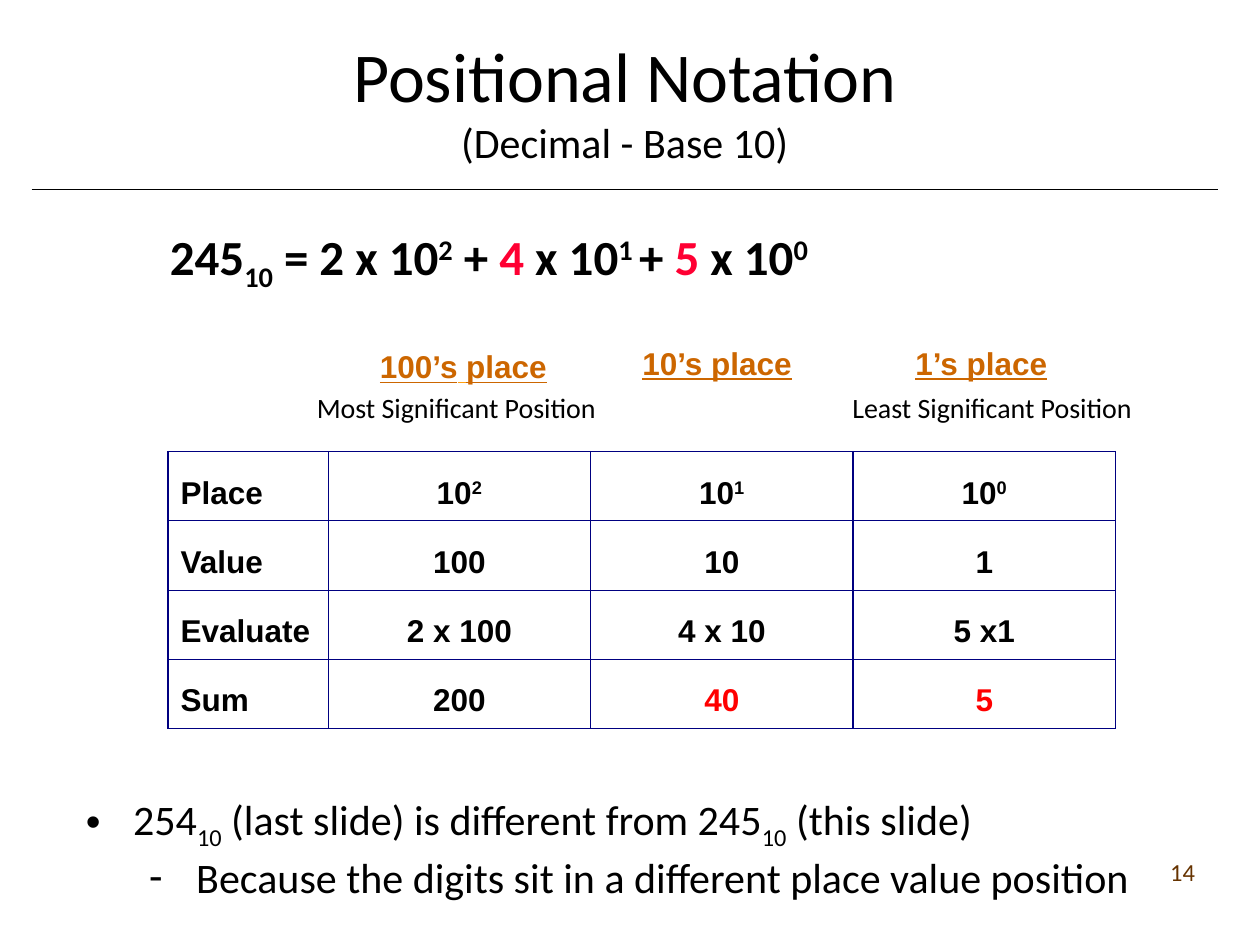
from collections import namedtuple
from dataclasses import dataclass

from lxml.etree import SubElement
from pptx import Presentation
from pptx.dml.color import RGBColor
from pptx.enum.shapes import MSO_CONNECTOR
from pptx.enum.text import MSO_ANCHOR, MSO_AUTO_SIZE, PP_ALIGN
from pptx.oxml.ns import qn
from pptx.util import Pt

Box = namedtuple("Box", "left top width height")


@dataclass(frozen=True)
class Theme:
    body: str = "Calibri"
    grid: str = "Arial"
    ink: str = "000000"
    red: str = "FF0000"
    digit: str = "FF0033"
    place: str = "CC6600"
    place_gap: str = "FF9F11"
    border: str = "000080"
    number: str = "663300"
    title_size: int = 40
    equation_size: int = 28
    text_size: int = 24
    table_size: int = 18
    note_size: int = 16
    number_size: int = 14


T = Theme()
SUP, SUB = 30, -25  # raised and lowered text, in percent


def add_run(p, text, size, font=T.body, color=T.ink, bold=False,
            underline=None, base=0):
    r = p.add_run()
    r.text = text
    r.font.size, r.font.name = Pt(size), font
    r.font.bold, r.font.underline = bold, underline
    r.font.color.rgb = RGBColor.from_string(color)
    if base:
        r.font._element.set("baseline", str(base * 1000))
    return r


def add_text_box(s, box, align=PP_ALIGN.LEFT):
    tf = s.shapes.add_textbox(*map(Pt, box)).text_frame
    tf.word_wrap = True
    p = tf.paragraphs[0]
    p.alignment = align
    return p


def add_title(s, box):
    sp = s.shapes.title
    sp.left, sp.top, sp.width, sp.height = map(Pt, box)
    tf = sp.text_frame
    tf.auto_size = MSO_AUTO_SIZE.NONE
    tf.vertical_anchor = MSO_ANCHOR.BOTTOM
    p = tf.paragraphs[0]
    p.alignment = PP_ALIGN.CENTER
    add_run(p, "Positional Notation", T.title_size)
    p.add_line_break()
    add_run(p, "(Decimal - Base 10)", T.text_size)

    # Rule below the title
    x, y = box.left - 6, box.top + 96
    rule = s.shapes.add_connector(MSO_CONNECTOR.STRAIGHT,
                                  Pt(x), Pt(y), Pt(x + 678), Pt(y))
    rule.line.color.rgb = RGBColor.from_string(T.ink)
    rule.line.width = Pt(0.5)
    SubElement(rule._element.spPr, qn("a:effectLst"))


def add_equation(s, box):
    p = add_text_box(s, box)
    parts = [("245", {}), ("10", {"base": SUB}), (" = 2 x 10", {}),
             ("2", {"base": SUP}), (" + ", {}), ("4", {"color": T.digit}),
             (" x 10", {}), ("1 ", {"base": SUP}), ("+ ", {}),
             ("5", {"color": T.digit}), (" x 10", {}), ("0", {"base": SUP})]
    for text, style in parts:
        add_run(p, text, T.equation_size, bold=True, **style)


def add_place_labels(s, box):
    # Headings above the columns: left, top, width, runs
    headings = [
        (36, 2, 120, [("100’s", T.place), (" ", T.place_gap), ("place", T.place)]),
        (186, 0, 102, [("10’s place", T.place)]),
        (342, 0, 102, [("1’s place", T.place)]),
    ]
    for dx, dy, width, runs in headings:
        p = add_text_box(s, Box(box.left + dx, box.top + dy, width, 29))
        for text, color in runs:
            add_run(p, text, T.table_size, T.grid, color, True, True)

    # Notes under the outer headings
    for dx, text in ((0, "Most Significant Position"),
                     (306, "Least Significant Position")):
        p = add_text_box(s, Box(box.left + dx, box.top + 26.6, 180, 26.6))
        add_run(p, text, T.note_size)


def set_borders(cell):
    tcPr = cell._tc.get_or_add_tcPr()
    for side in ("lnL", "lnR", "lnT", "lnB"):
        ln = SubElement(tcPr, qn("a:" + side), w=str(Pt(0.75)))
        fill = SubElement(ln, qn("a:solidFill"))
        SubElement(fill, qn("a:srgbClr"), val=T.border)


def add_place_table(s, box):
    rows = [("Place", "10^2", "10^1", "10^0"),
            ("Value", "100", "10", "1"),
            ("Evaluate", "2 x 100", "4 x 10", "5 x1"),
            ("Sum", "200", "40", "5")]
    table = s.shapes.add_table(len(rows), len(rows[0]), *map(Pt, box)).table
    table.first_row = table.horz_banding = False
    label_width = 91.5
    for j, column in enumerate(table.columns):
        column.width = Pt((box.width - label_width) / 3 if j else label_width)
    for i, values in enumerate(rows):
        table.rows[i].height = Pt(box.height / len(rows))
        for j, value in enumerate(values):
            cell = table.cell(i, j)
            set_borders(cell)
            cell.fill.background()
            p = cell.text_frame.paragraphs[0]
            p.alignment = PP_ALIGN.CENTER if j else PP_ALIGN.LEFT
            p.line_spacing = 1.5
            color = T.red if values[0] == "Sum" and j > 1 else T.ink
            number, _, power = value.partition("^")
            add_run(p, number, T.table_size, T.grid, color, True)
            if power:
                add_run(p, power, T.table_size, T.grid, color, True, base=SUP)


def set_bullet(p, char, indent):
    pPr = p._p.get_or_add_pPr()
    pPr.set("marL", str(Pt(indent)))
    pPr.set("indent", str(Pt(-27)))
    color = SubElement(pPr, qn("a:buClr"))
    SubElement(color, qn("a:srgbClr"), val=T.ink)
    SubElement(pPr, qn("a:buFont"), typeface=T.grid)
    SubElement(pPr, qn("a:buChar"), char=char)


def add_remarks(s, box):
    p = add_text_box(s, box)
    set_bullet(p, "•", 27)
    for text, base in (("254", 0), ("10", SUB),
                       (" (last slide) is different from 245", 0),
                       ("10", SUB), (" (this slide)", 0)):
        add_run(p, text, T.text_size, base=base)
    p = p._parent.add_paragraph()
    p.level = 1
    set_bullet(p, "-", 63)
    add_run(p, "Because the digits sit in a different place value position",
            T.text_size)


def add_slide_number(s, box):
    p = add_text_box(s, box, PP_ALIGN.RIGHT)
    add_run(p, "14", T.number_size, color=T.number)


def main():
    prs = Presentation()
    prs.slide_width, prs.slide_height = Pt(720), Pt(540)
    s = prs.slides.add_slide(prs.slide_layouts[5])
    add_title(s, Box(24, 12, 666, 87))
    add_place_table(s, Box(96, 258, 541.5, 158.4))
    add_equation(s, Box(90, 126, 402, 45))
    add_slide_number(s, Box(540, 486, 150, 36))
    add_remarks(s, Box(42, 450, 624, 69))
    add_place_labels(s, Box(174, 193, 486, 53.2))
    prs.save("out.pptx")


if __name__ == "__main__":
    main()
